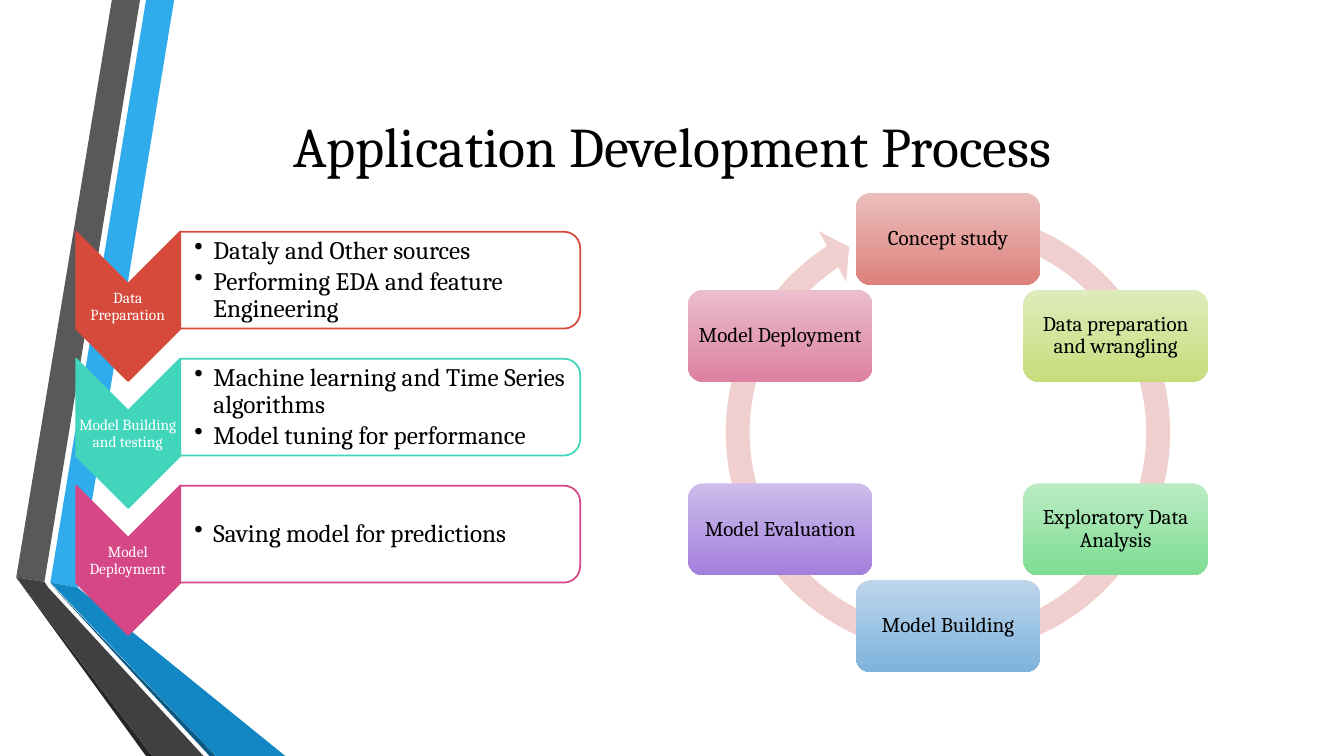
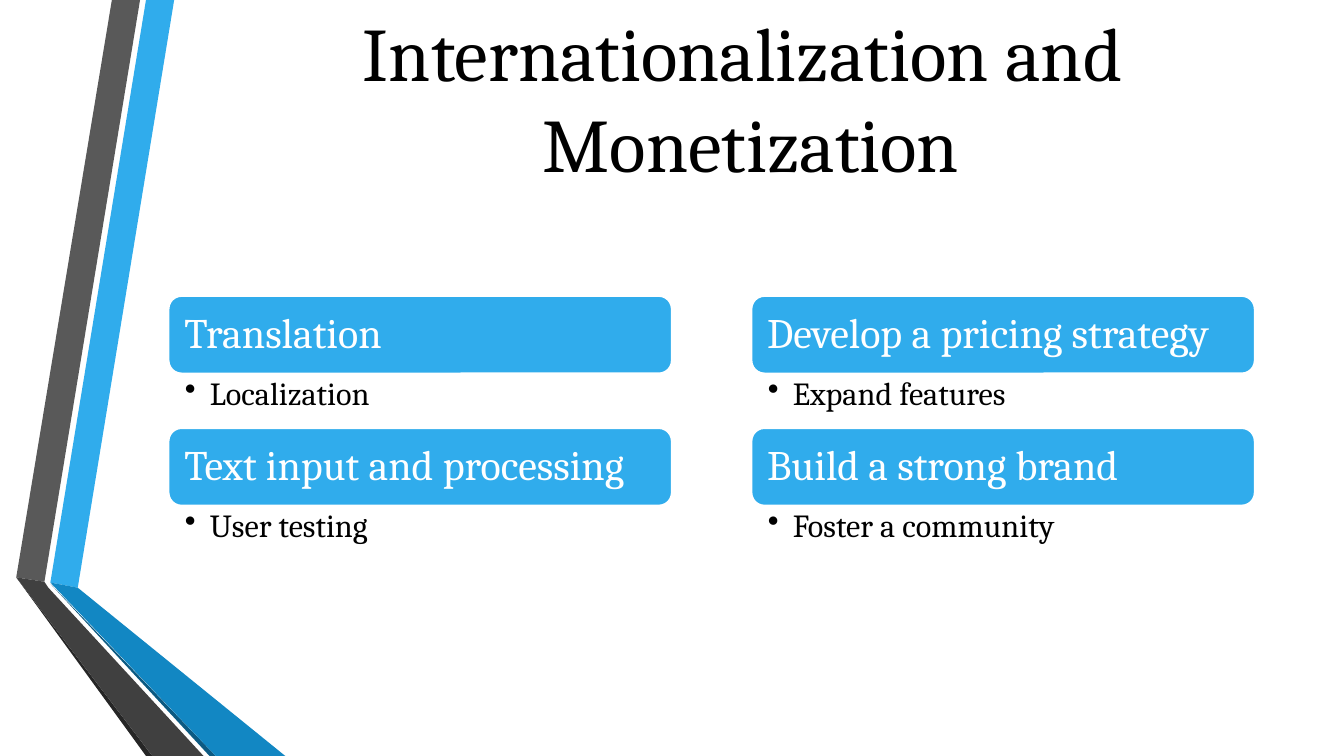
"""Build two slides on an application's development process and its market rollout."""
import dataclasses
import math

import lxml.etree
import pptx
import pptx.dml.color
import pptx.enum.shapes
import pptx.enum.text
import pptx.oxml.ns
import pptx.util

Cm = pptx.util.Cm
Pt = pptx.util.Pt
ALIGN = pptx.enum.text.PP_ALIGN
ANCHOR = pptx.enum.text.MSO_ANCHOR
SHAPE = pptx.enum.shapes.MSO_SHAPE


@dataclasses.dataclass(frozen=True)
class Theme:
    """Hold the colours, font and sizes."""

    font: str = "Cambria"
    black: str = "000000"
    white: str = "FFFFFF"
    blue: str = "30ACEC"
    deep_blue: str = "1287C3"
    navy: str = "0C5A82"
    grey: str = "595959"
    dark_grey: str = "404040"
    charcoal: str = "262626"
    red: str = "D64A3B"
    teal: str = "41D6BC"
    pink: str = "D64787"
    ring: str = "F0D0CE"
    reds: tuple = ("EBBEBC", "DD817C")
    limes: tuple = ("DFEBBC", "C7DD7C")
    greens: tuple = ("BCEBC4", "7DDD91")
    blues: tuple = ("BDD5EB", "7EB3DD")
    violets: tuple = ("CDBDEB", "A37FDD")
    pinks: tuple = ("EBBECD", "DD80A2")
    title_size: float = 40
    large_title_size: float = 54
    header_size: float = 30
    detail_size: float = 23
    panel_size: float = 18
    node_size: float = 15
    label_size: float = 11
    outline: float = 1.25


THEME = Theme()
WIDTH, HEIGHT = 33.87, 19.05

RIBBONS = [
    (THEME.blue, [(1.27, 14.68), (1.96, 14.81), (4.39, 0), (3.68, 0)]),
    (THEME.grey, [(3.53, 0), (2.82, 0), (0.41, 14.55), (1.12, 14.66)]),
    (THEME.charcoal, [(0.41, 14.55), (3.68, HEIGHT), (3.84, HEIGHT)]),
    (THEME.navy, [(1.27, 14.71), (5.28, HEIGHT), (5.44, HEIGHT)]),
    (THEME.deep_blue, [(1.27, 14.68), (5.44, HEIGHT), (7.19, HEIGHT), (1.96, 14.81)]),
    (THEME.dark_grey, [(5.13, HEIGHT), (1.22, 14.81), (1.12, 14.66), (0.41, 14.55), (3.84, HEIGHT)]),
]

STAGES = [
    (THEME.red, "Data Preparation",
     ["Dataly and Other sources", "Performing EDA and feature Engineering"]),
    (THEME.teal, "Model Building and testing",
     ["Machine learning and Time Series algorithms", "Model tuning for performance"]),
    (THEME.pink, "Model Deployment", ["Saving model for predictions"]),
]

CYCLE = [
    ("Concept study", THEME.reds),
    ("Data preparation and wrangling", THEME.limes),
    ("Exploratory Data Analysis", THEME.greens),
    ("Model Building", THEME.blues),
    ("Model Evaluation", THEME.violets),
    ("Model Deployment", THEME.pinks),
]

TOPICS = [
    [("Translation", "Localization"), ("Text input and processing", "User testing")],
    [("Develop a pricing strategy", "Expand features"), ("Build a strong brand", "Foster a community")],
]


def rgb(color):
    """Turn a hex string into a colour."""
    return pptx.dml.color.RGBColor.from_string(color)


class Deck:
    """Hold the presentation, its style and the current slide."""

    def __init__(self, theme):
        """Start an empty widescreen presentation."""
        self.theme = theme
        self.presentation = pptx.Presentation()
        self.presentation.slide_width = Cm(WIDTH)
        self.presentation.slide_height = Cm(HEIGHT)
        self.slide = None

    def add_slide(self, title, size, left, top, width, height):
        """Add a slide with the shared ribbons and a title."""
        self.slide = self.presentation.slides.add_slide(self.presentation.slide_layouts[6])
        for color, points in RIBBONS:
            self.polygon(points, color)
        self.text_box([title], left, top, width, height, size, self.theme.black,
                      inset=(0.25, 0.13, 0.25, 0.13), spacing=1.0)

    def paint(self, shape, fill, line=None):
        """Apply a solid or two-colour fill, an outline and no shadow."""
        shape.shadow.inherit = False
        if isinstance(fill, tuple):
            shape.fill.gradient()
            shape.fill.gradient_angle = 270
            for stop, color in zip(shape.fill.gradient_stops, fill):
                stop.color.rgb = rgb(color)
        else:
            shape.fill.solid()
            shape.fill.fore_color.rgb = rgb(fill)
        if line:
            shape.line.color.rgb = rgb(line)
            shape.line.width = Pt(self.theme.outline)
        else:
            shape.line.fill.background()

    def polygon(self, points, fill):
        """Draw a closed outline through the points."""
        corners = [(Cm(x), Cm(y)) for x, y in points]
        builder = self.slide.shapes.build_freeform(*corners[0])
        builder.add_line_segments(corners[1:], close=True)
        self.paint(builder.convert_to_shape(), fill)

    def shape(self, kind, left, top, width, height, fill, line=None):
        """Draw a preset shape."""
        shape = self.slide.shapes.add_shape(kind, Cm(left), Cm(top), Cm(width), Cm(height))
        self.paint(shape, fill, line)
        return shape

    def turned_shape(self, kind, left, top, width, height, fill, line):
        """Draw a preset shape turned clockwise to cover the given area."""
        shift = (width - height) / 2
        shape = self.shape(kind, left + shift, top - shift, height, width, fill, line)
        shape.rotation = 90

    def set_text(self, shape, texts, size, color, align=ALIGN.CENTER, anchor=ANCHOR.MIDDLE,
                 inset=(0.03, 0.03, 0.03, 0.03), spacing=0.9, bullet_indent=0, gap=0):
        """Fill a shape with styled paragraphs."""
        frame = shape.text_frame
        frame.word_wrap = True
        frame.vertical_anchor = anchor
        frame.margin_left, frame.margin_top, frame.margin_right, frame.margin_bottom = map(Cm, inset)
        frame.text = "\n".join(texts)
        for paragraph in frame.paragraphs:
            paragraph.alignment = align
            paragraph.line_spacing = spacing
            paragraph.space_after = Pt(gap)
            if bullet_indent:
                self.bullet(paragraph, bullet_indent)
            for run in paragraph.runs:
                run.font.name = self.theme.font
                run.font.size = Pt(size)
                run.font.color.rgb = rgb(color)

    def bullet(self, paragraph, indent):
        """Give a paragraph a hanging bullet."""
        properties = paragraph._p.get_or_add_pPr()
        properties.set("marL", str(Cm(indent)))
        properties.set("indent", str(-Cm(indent)))
        mark = lxml.etree.SubElement(properties, pptx.oxml.ns.qn("a:buChar"))
        mark.set("char", "•")

    def text_box(self, texts, left, top, width, height, size, color, **style):
        """Add a text box."""
        box = self.slide.shapes.add_textbox(Cm(left), Cm(top), Cm(width), Cm(height))
        self.set_text(box, texts, size, color, **style)

    def stage(self, top, color, label, details):
        """Draw a downward chevron with its panel of bullets."""
        theme = self.theme
        self.turned_shape(SHAPE.CHEVRON, 1.92, top, 2.62, 3.76, color, color)
        self.text_box([label], 1.91, top + 1.33, 2.62, 1.12, theme.label_size, theme.white)
        self.turned_shape(SHAPE.ROUND_2_SAME_RECTANGLE, 4.54, top, 10.08, 2.44, theme.white, color)
        self.text_box(details, 4.54, top + 0.12, 9.96, 2.2, theme.panel_size, theme.black,
                      align=ALIGN.LEFT, inset=(0.36, 0.03, 0.03, 0.03),
                      bullet_indent=0.48, gap=2.7)

    def cycle(self, nodes, center_x, center_y, radius):
        """Draw a circular arrow with nodes spaced evenly round it."""
        theme = self.theme
        width, height, ring = 4.65, 2.32, 12.04
        arrow = self.shape(SHAPE.CIRCULAR_ARROW, center_x - ring / 2, center_y - ring / 2,
                           ring, ring, theme.ring)
        for index, value in enumerate((0.05, 3.13, 142.05, 171.41, 0.06)):
            arrow.adjustments[index] = value
        for index, (label, colors) in enumerate(nodes):
            angle = math.tau * index / len(nodes)
            left = center_x + radius * math.sin(angle) - width / 2
            top = center_y - radius * math.cos(angle) - height / 2
            node = self.shape(SHAPE.ROUNDED_RECTANGLE, left, top, width, height, colors)
            self.set_text(node, [label], theme.node_size, theme.black, inset=(0.15,) * 4)

    def topic(self, left, top, header, detail):
        """Draw a header bar with a bullet below it."""
        theme = self.theme
        width, bar_height = 12.68, 1.95
        bar = self.shape(SHAPE.ROUNDED_RECTANGLE, left, top, width, bar_height, theme.blue, theme.white)
        self.set_text(bar, [header], theme.header_size, theme.white, align=ALIGN.LEFT, inset=(0.3,) * 4)
        self.text_box([detail], left, top + bar_height, width, 1.38, theme.detail_size, theme.black,
                      align=ALIGN.LEFT, anchor=ANCHOR.TOP, inset=(0.41, 0.1, 0.58, 0.1),
                      bullet_indent=0.63)


def main():
    """Build and save the slides."""
    deck = Deck(THEME)

    deck.add_slide("Application Development Process", THEME.title_size, 3.02, 1.22, 27.84, 4.88)
    deck.cycle(CYCLE, center_x=23.89, center_y=10.9, radius=4.88)
    for index, stage in enumerate(STAGES):
        deck.stage(5.84 + 3.2 * index, *stage)

    deck.add_slide("Internationalization and  Monetization", THEME.large_title_size, 4.27, 0, 29.31, 4.88)
    for column, topics in enumerate(TOPICS):
        for row, topic in enumerate(topics):
            deck.topic(4.25 + 14.69 * column, 7.46 + 3.33 * row, *topic)

    deck.presentation.save("out.pptx")


if __name__ == "__main__":
    main()
